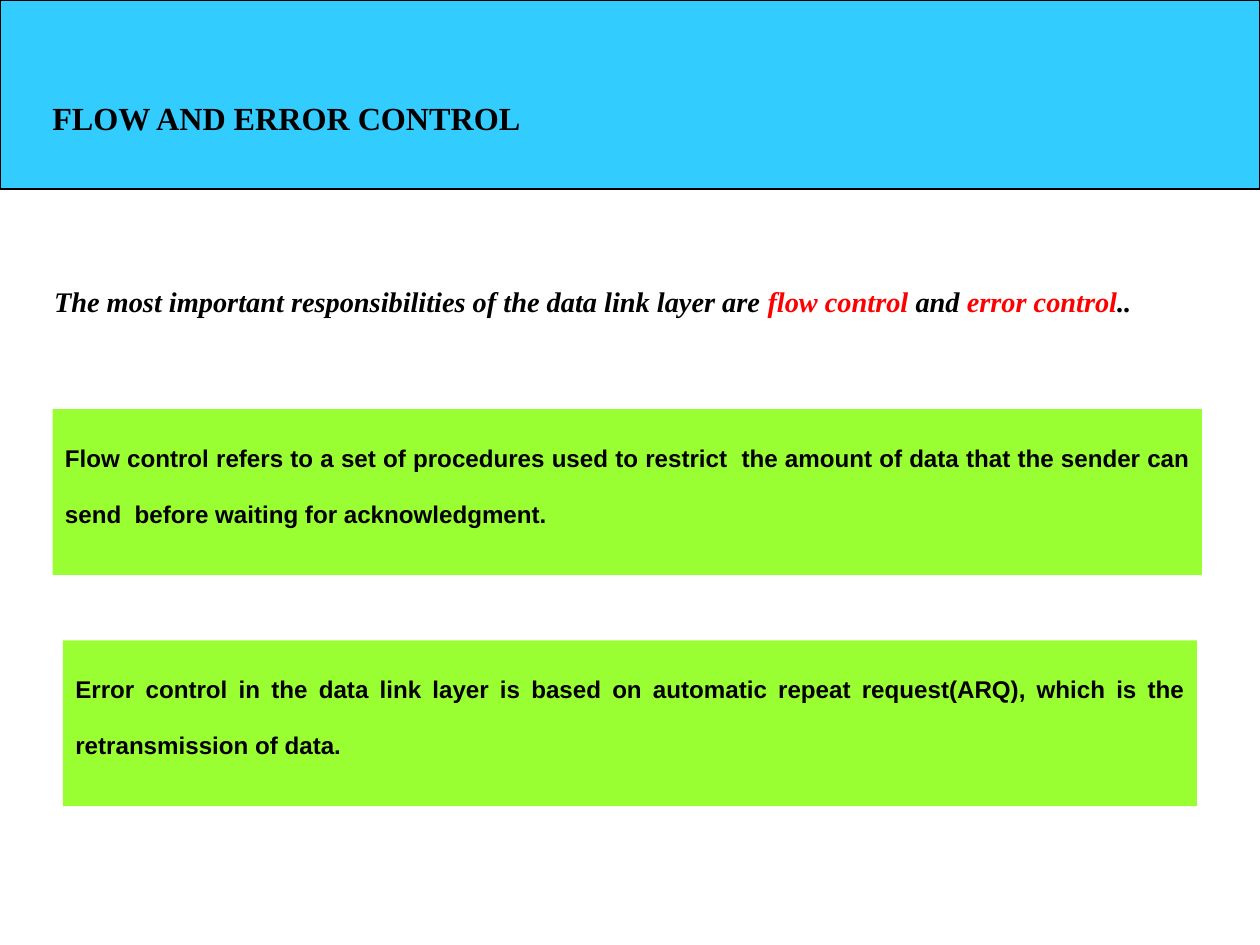
from dataclasses import dataclass

from pptx import Presentation, util as u
from pptx.dml.color import RGBColor
from pptx.enum import shapes, text


@dataclass(frozen=True)
class Theme:
    black: RGBColor = RGBColor(0x00, 0x00, 0x00)
    highlight: RGBColor = RGBColor(0xFF, 0x00, 0x00)
    band: RGBColor = RGBColor(0x33, 0xCC, 0xFF)
    panel: RGBColor = RGBColor(0x99, 0xFF, 0x33)
    serif: str = "Times New Roman"
    sans: str = "Arial"
    title_size: float = 18.4
    intro_size: float = 16.2
    panel_size: float = 13.8
    line_spacing: float = 1.95


THEME = Theme()
TITLE = "FLOW AND ERROR CONTROL"
INTRO = [
    ("The most important responsibilities of the data link layer are ", THEME.black),
    ("flow control", THEME.highlight),
    (" and ", THEME.black),
    ("error control", THEME.highlight),
    ("..", THEME.black),
]
FLOW = ("Flow control refers to a set of procedures used to restrict  the amount of data "
        "that the sender can send  before waiting for acknowledgment.")
ERROR = ("Error control in the data link layer is based on automatic repeat request(ARQ), "
         "which is the retransmission of data.")


def prepare_frame(shape, anchor):
    frame = shape.text_frame
    frame.word_wrap = True
    frame.auto_size = text.MSO_AUTO_SIZE.NONE
    frame.vertical_anchor = anchor
    return frame


def format_paragraph(paragraph, alignment, font_name, size, italic=False):
    paragraph.alignment = alignment
    paragraph.line_spacing = THEME.line_spacing
    paragraph.space_before = u.Pt(0)
    for run in paragraph.runs:
        run.font.name = font_name
        run.font.size = u.Pt(size)
        run.font.bold = True
        run.font.italic = italic
        run.font.color.rgb = THEME.black


def add_rectangle(slide, box, fill):
    rectangle = slide.shapes.add_shape(shapes.MSO_SHAPE.RECTANGLE, *box)
    rectangle.shadow.inherit = False
    rectangle.fill.solid()
    rectangle.fill.fore_color.rgb = fill
    rectangle.line.fill.background()
    return rectangle


def add_header(slide, box):
    left, top, width, height = box
    band = add_rectangle(slide, box, THEME.band)
    band.line.color.rgb = THEME.black
    band.line.width = u.Pt(0.75)

    title = slide.shapes.title
    title.left, title.top = left + u.Cm(0.8), top + u.Cm(1.12)
    title.width, title.height = u.Cm(17.8), u.Cm(1.63)
    band._element.addnext(title._element)  # the title lies in front of the band
    frame = prepare_frame(title, text.MSO_ANCHOR.TOP)
    frame.text = TITLE
    format_paragraph(frame.paragraphs[0], text.PP_ALIGN.LEFT, THEME.serif, THEME.title_size)


def add_intro(slide, box):
    frame = prepare_frame(slide.shapes.add_textbox(*box), text.MSO_ANCHOR.MIDDLE)
    paragraph = frame.paragraphs[0]
    for words, _ in INTRO:
        paragraph.add_run().text = words
    format_paragraph(paragraph, text.PP_ALIGN.JUSTIFY, THEME.serif, THEME.intro_size, italic=True)
    for run, (_, color) in zip(paragraph.runs, INTRO):
        run.font.color.rgb = color


def add_definition(slide, box, words):
    panel = add_rectangle(slide, box, THEME.panel)
    frame = prepare_frame(panel, text.MSO_ANCHOR.TOP)
    frame.text = words
    format_paragraph(frame.paragraphs[0], text.PP_ALIGN.JUSTIFY, THEME.sans, THEME.panel_size)


def main():
    presentation = Presentation()
    presentation.slide_width, presentation.slide_height = u.Cm(25.4), u.Cm(19.05)
    slide = presentation.slides.add_slide(presentation.slide_layouts.get_by_name("Title Only"))

    add_header(slide, (0, 0, presentation.slide_width, u.Cm(3.81)))
    add_intro(slide, (u.Cm(0.84), u.Cm(4.42), u.Cm(22.86), u.Cm(2.64)))
    add_definition(slide, (u.Cm(1.06), u.Cm(8.25), u.Cm(23.17), u.Cm(3.34)), FLOW)
    add_definition(slide, (u.Cm(1.27), u.Cm(12.91), u.Cm(22.86), u.Cm(3.34)), ERROR)

    presentation.save("out.pptx")


if __name__ == "__main__":
    main()
